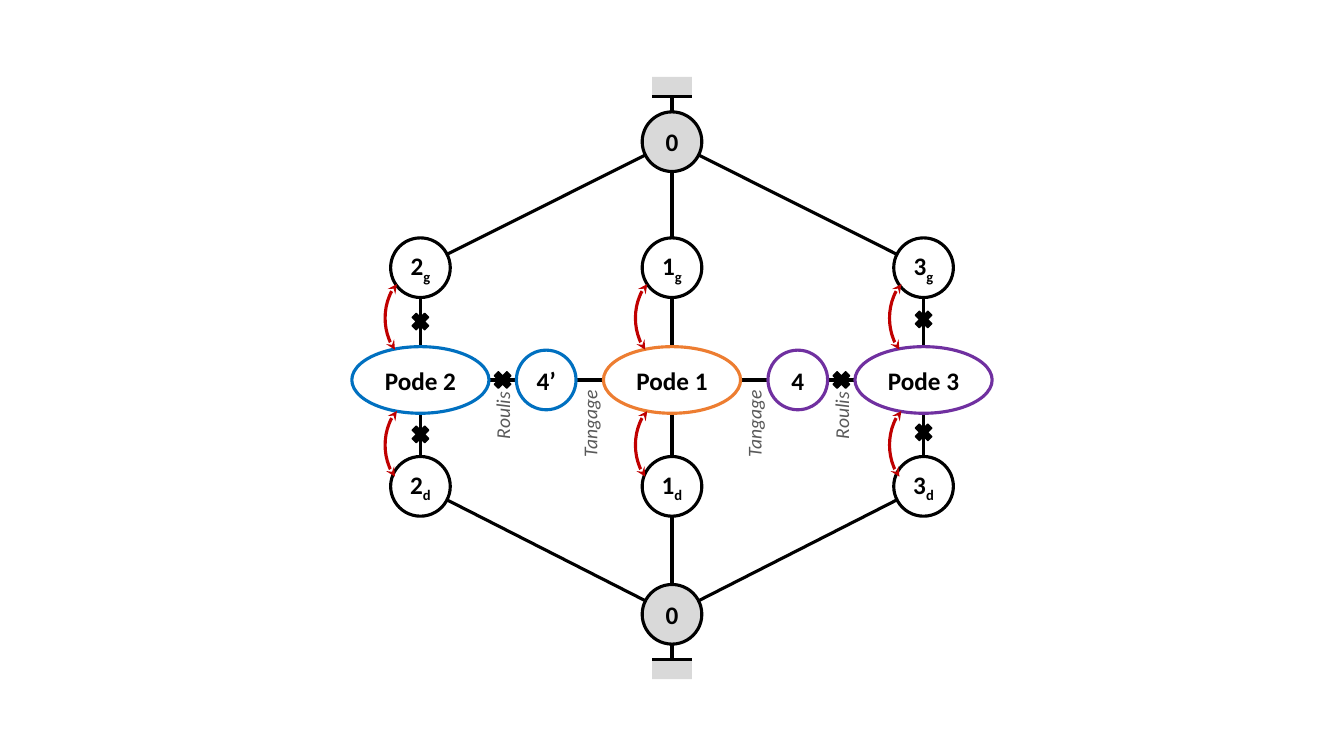
import pptx
import pptx.util
import pptx.dml.color
import pptx.enum.shapes
import pptx.enum.text
import lxml.etree
import pptx.oxml.ns

Pt = pptx.util.Pt
SHAPES = pptx.enum.shapes.MSO_SHAPE
ALIGN = pptx.enum.text.PP_ALIGN
qn = pptx.oxml.ns.qn

BLACK, WHITE, GREY = "000000", "FFFFFF", "D9D9D9"
BLUE, ORANGE, PURPLE, RED = "0070C0", "ED7D31", "7030A0", "C00000"
CIRCLE = 42.6
POD_WIDTH, POD_HEIGHT = 98, 47.6
STEP = 179.7


def colour(code):
    return pptx.dml.color.RGBColor.from_string(code)


def add_text(box, parts, size, code, align, bold=False, italic=False):
    """Each part is a text and whether it is a subscript."""
    para = box.text_frame.paragraphs[0]
    para.alignment = align
    for text, subscript in parts:
        span = para.add_run()
        span.text = text
        span.font.name = "Calibri"
        span.font.size = Pt(size)
        span.font.bold = bold
        span.font.italic = italic
        span.font.color.rgb = colour(code)
        if subscript:
            span._r.get_or_add_rPr().set("baseline", "-25000")


def add_form(page, kind, x, y, width, height, fill=None, line=None, weight=2.25):
    """Place a shape by its centre."""
    form = page.shapes.add_shape(
        kind, Pt(x - width / 2), Pt(y - height / 2), Pt(width), Pt(height))
    form.shadow.inherit = False
    if fill:
        form.fill.solid()
        form.fill.fore_color.rgb = colour(fill)
    else:
        form.fill.background()
    if line:
        form.line.color.rgb = colour(line)
        form.line.width = Pt(weight)
    else:
        form.line.fill.background()
    return form


def add_line(page, x1, y1, x2, y2):
    line = page.shapes.add_connector(
        pptx.enum.shapes.MSO_CONNECTOR.STRAIGHT, Pt(x1), Pt(y1), Pt(x2), Pt(y2))
    line.line.color.rgb = colour(BLACK)
    line.line.width = Pt(2.25)
    lxml.etree.SubElement(line._element.spPr, qn("a:effectLst"))


def add_node(page, x, y, parts, line=BLACK, fill=WHITE, width=CIRCLE, height=CIRCLE):
    node = add_form(page, SHAPES.OVAL, x, y, width, height, fill, line)
    frame = node.text_frame
    frame.word_wrap = False
    frame.margin_left = frame.margin_right = 0
    frame.margin_top = frame.margin_bottom = 0
    frame.vertical_anchor = pptx.enum.text.MSO_ANCHOR.MIDDLE
    add_text(node, parts, 18, BLACK, ALIGN.CENTER, bold=True)


def add_cross(page, x, y):
    add_form(page, SHAPES.MATH_MULTIPLY, x, y, 17.2, 17.2, BLACK, BLACK, 1)


def add_arc(page, x, y):
    arc = add_form(page, SHAPES.ARC, x, y, 43.2, 61.2, None, RED)
    arc.adjustments[0] = 73.67
    arc.adjustments[1] = 144.93
    outline = arc.line._get_or_add_ln()
    for end in ("a:headEnd", "a:tailEnd"):
        lxml.etree.SubElement(outline, qn(end)).set("type", "stealth")


def add_label(page, x, y, width, text):
    """Upright label, placed by its centre."""
    height = 24.2
    box = page.shapes.add_textbox(
        Pt(x - width / 2), Pt(y - height / 2), Pt(width), Pt(height))
    box.rotation = 270
    box.text_frame.word_wrap = True
    add_text(box, [(text, False)], 14, "595959", ALIGN.RIGHT, italic=True)


def add_ground(page, x, y, side):
    """Fixed support above (side -1) or below (side 1) a base node."""
    start = y + side * CIRCLE / 2
    bar = start + side * 10.8
    add_form(page, SHAPES.RECTANGLE, x, bar + side * 7.1, 28.4, 14.2, GREY)
    add_line(page, x, start, x, bar)
    add_line(page, x - 14.2, bar, x + 14.2, bar)


def add_graph(page, middle, pod_y):
    columns = [middle - STEP, middle, middle + STEP]
    # Side of the pods, letter, wheel row, base row, arc row
    halves = [(-1, "g", pod_y - 80.2, pod_y - 170.2, pod_y - 44.2),
              (1, "d", pod_y + 76, pod_y + 167.4, pod_y + 46.5)]
    pods = [("2", BLUE, -3.6), ("1", ORANGE, -4.5), ("3", PURPLE, -2.7)]

    # Links
    for side, letter, wheel_y, base_y, arc_y in halves:
        for x in columns:
            add_line(page, x, wheel_y - side * CIRCLE / 2,
                     x, pod_y + side * POD_HEIGHT / 2)
            if x == middle:
                add_line(page, x, base_y - side * CIRCLE / 2,
                         x, wheel_y + side * CIRCLE / 2)
            else:
                add_line(page, x, wheel_y, middle, base_y)
    for x in columns[:2]:
        add_line(page, x + POD_WIDTH / 2, pod_y, x + STEP - POD_WIDTH / 2, pod_y)

    # Pods, wheels and bases
    for x, (number, line, shift) in zip(columns, pods):
        add_node(page, x, pod_y, [("Pode " + number, False)], line,
                 width=POD_WIDTH, height=POD_HEIGHT)
        for side, letter, wheel_y, base_y, arc_y in halves:
            add_node(page, x, wheel_y, [(number, False), (letter, True)])
            add_arc(page, x + shift, arc_y)
    for side, letter, wheel_y, base_y, arc_y in halves:
        add_node(page, middle, base_y, [("0", False)], fill=GREY)
        add_ground(page, middle, base_y, side)

    # Joints between pods, and their blocked links
    for side, name, line, cross_y in ((-1, "4’", BLUE, -41.7), (1, "4", PURPLE, -43.2)):
        add_node(page, middle + side * STEP / 2, pod_y, [(name, False)], line)
        for y in (pod_y + cross_y, pod_y + cross_y + 80.6):
            add_cross(page, middle + side * STEP, y)
        add_cross(page, middle + side * 121, pod_y)
        add_label(page, middle + side * 121, pod_y + 30.6, 58.3, "Roulis")
        add_label(page, middle + side * 58.7, pod_y + 38.5, 77, "Tangage")


def main():
    deck = pptx.Presentation()
    deck.slide_width, deck.slide_height = Pt(960), Pt(540)
    page = deck.slides.add_slide(deck.slide_layouts[6])
    add_graph(page, 480, 271.4)
    deck.save("out.pptx")


if __name__ == "__main__":
    main()
